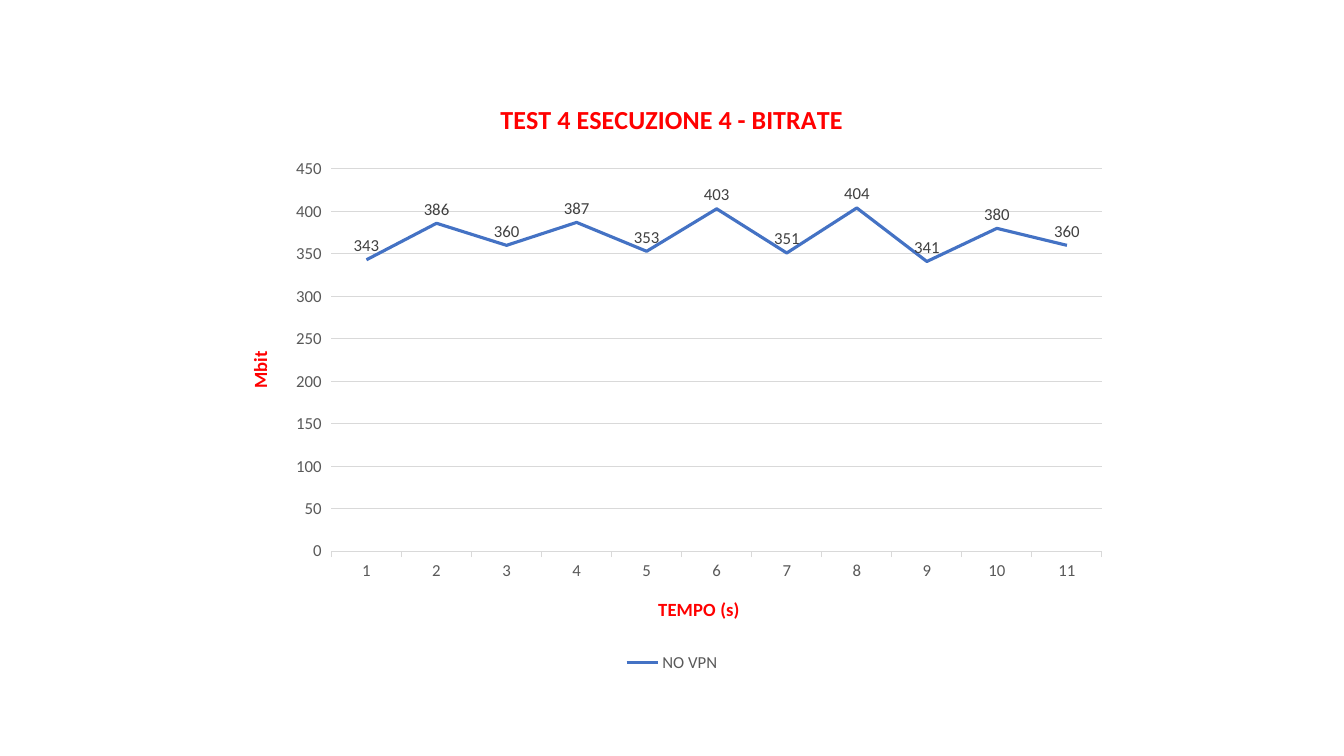
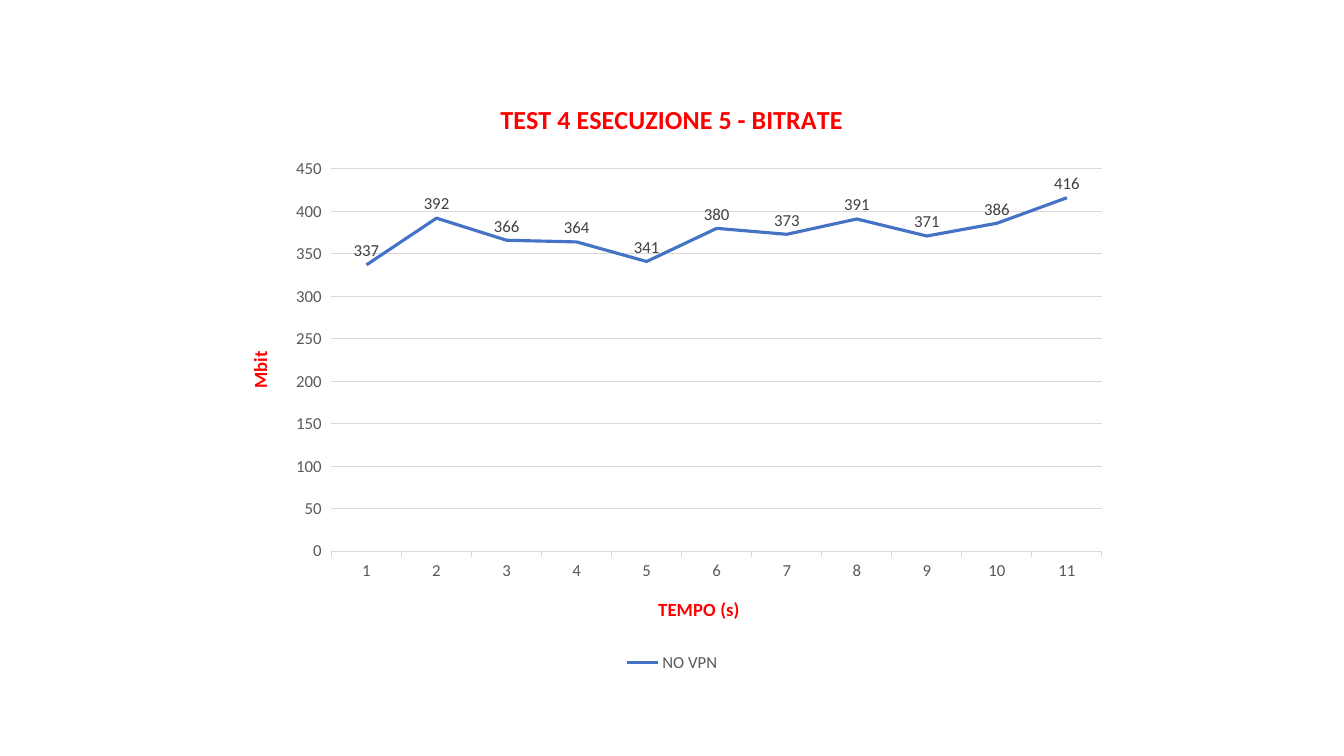
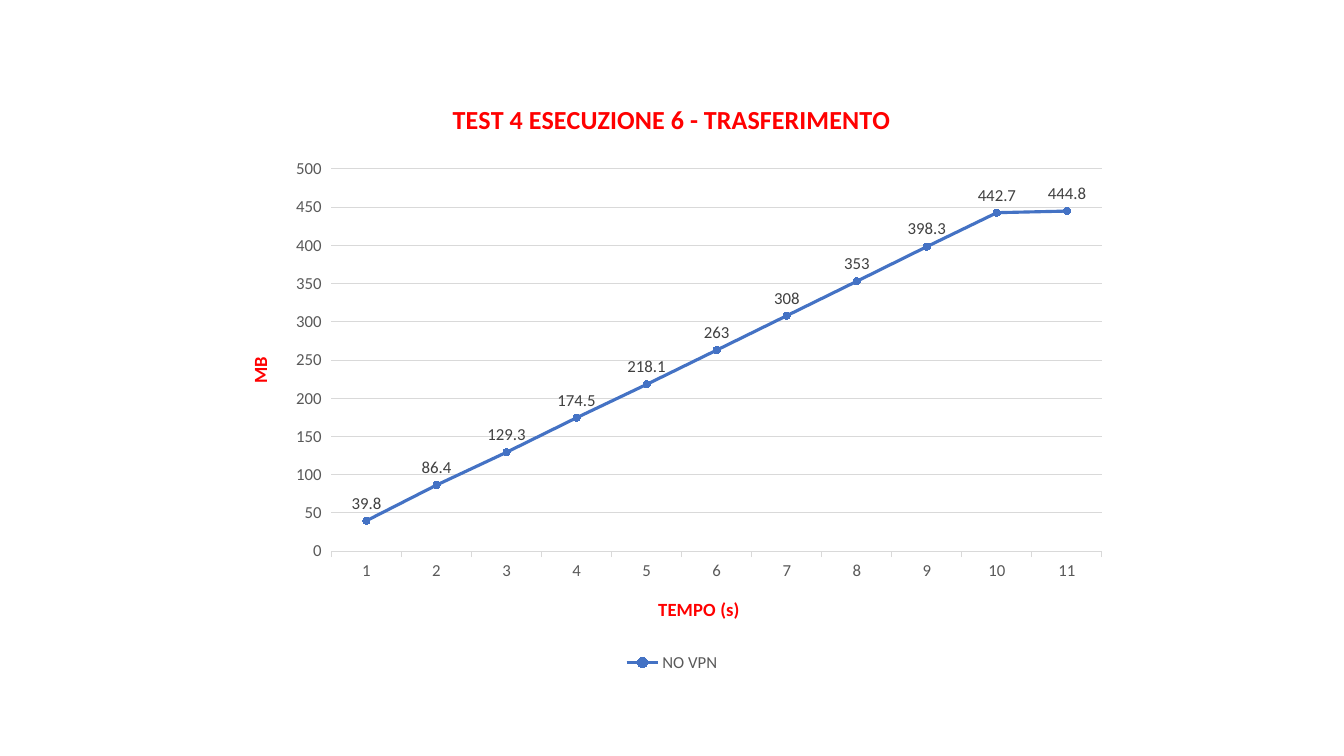
from lxml import etree
from pptx import Presentation
from pptx import util as u
from pptx.chart import data as cd
from pptx.dml.color import RGBColor
from pptx.enum import chart as ce

Pt = u.Pt
COLORS = {"title": "FF0000", "axis": "595959", "label": "404040",
          "grid": "D9D9D9", "series": "4472C4", "base": "000000"}
SLIDE_W, SLIDE_H = 960, 540
CHART_W, CHART_H = 640, 426.67
PLOT = {"x": 0.12, "y": 0.15, "w": 0.86, "h": 0.64}
CHART_NS = "http://schemas.openxmlformats.org/drawingml/2006/chart"

CHARTS = [
    ("TEST 4 ESECUZIONE 4 - BITRATE", "Mbit", False,
     [343, 386, 360, 387, 353, 403, 351, 404, 341, 380, 360]),
    ("TEST 4 ESECUZIONE 5 - BITRATE", "Mbit", False,
     [337, 392, 366, 364, 341, 380, 373, 391, 371, 386, 416]),
    ("TEST 4 ESECUZIONE 6 - TRASFERIMENTO", "MB", True,
     [39.8, 86.4, 129.3, 174.5, 218.1, 263, 308, 353, 398.3, 442.7, 444.8]),
]


def rgb(name):
    return RGBColor.from_string(COLORS[name])


def format_font(font, size=12, color="axis", bold=False):
    font.name = "Calibri"
    font.size = Pt(size)
    font.bold = bold
    font.color.rgb = rgb(color)


def format_line(line, color, width):
    line.color.rgb = rgb(color)
    line.width = Pt(width)


def set_title(owner, text, **fmt):
    """Title a chart or an axis."""
    p = getattr(owner, "chart_title" if hasattr(owner, "chart_title")
                else "axis_title").text_frame.paragraphs[0]
    r = p.add_run()
    r.text = text
    format_font(r.font, color="title", bold=True, **fmt)


def place_plot(chart):
    """Fix the inner plot area as fractions of the chart."""
    area = chart.element.find(f".//{{{CHART_NS}}}plotArea")
    for old in area.findall(f"{{{CHART_NS}}}layout"):
        area.remove(old)
    layout = etree.Element(f"{{{CHART_NS}}}layout")
    manual = etree.SubElement(layout, f"{{{CHART_NS}}}manualLayout")
    settings = {"layoutTarget": "inner", "xMode": "edge", "yMode": "edge", **PLOT}
    for tag, value in settings.items():
        etree.SubElement(manual, f"{{{CHART_NS}}}{tag}", val=str(value))
    area.insert(0, layout)


def format_axes(chart, unit):
    cat, val = chart.category_axis, chart.value_axis
    for axis, title in ((cat, "TEMPO (s)"), (val, unit)):
        set_title(axis, title, size=13.3)
        format_font(axis.tick_labels.font)
        axis.major_tick_mark = ce.XL_TICK_MARK.OUTSIDE
    format_line(cat.format.line, "grid", 0.75)
    val.format.line.fill.background()
    val.minimum_scale = 0
    format_line(val.major_gridlines.format.line, "grid", 0.75)


def format_series(plot, markers):
    plot.vary_by_categories = False
    ser = plot.series[0]
    ser.smooth = False
    format_line(ser.format.line, "series", 2.25)
    if markers:
        ser.marker.style = ce.XL_MARKER_STYLE.CIRCLE
        ser.marker.size = 5
        ser.marker.format.fill.solid()
        ser.marker.format.fill.fore_color.rgb = rgb("series")
        format_line(ser.marker.format.line, "series", 0.75)
    else:
        ser.marker.style = ce.XL_MARKER_STYLE.NONE
    labels = ser.data_labels
    labels.show_value = True
    labels.position = ce.XL_LABEL_POSITION.ABOVE
    format_font(labels.font, color="label")


def add_line_chart(s, title, unit, markers, values):
    data = cd.CategoryChartData()
    data.categories = [str(i + 1) for i in range(len(values))]
    data.add_series("NO VPN", values)
    kind = ce.XL_CHART_TYPE.LINE_MARKERS if markers else ce.XL_CHART_TYPE.LINE
    chart = s.shapes.add_chart(
        kind, Pt((SLIDE_W - CHART_W) / 2), Pt((SLIDE_H - CHART_H) / 2),
        Pt(CHART_W), Pt(CHART_H), data).chart
    format_font(chart.font, size=10, color="base")
    set_title(chart, title, size=18.6)
    format_axes(chart, unit)
    format_series(chart.plots[0], markers)
    chart.has_legend = True
    chart.legend.position = ce.XL_LEGEND_POSITION.BOTTOM
    chart.legend.include_in_layout = False
    format_font(chart.legend.font)
    place_plot(chart)


def main():
    prs = Presentation()
    prs.slide_width, prs.slide_height = Pt(SLIDE_W), Pt(SLIDE_H)
    for spec_row in CHARTS:
        add_line_chart(prs.slides.add_slide(prs.slide_layouts[6]), *spec_row)
    prs.save("out.pptx")


if __name__ == "__main__":
    main()
